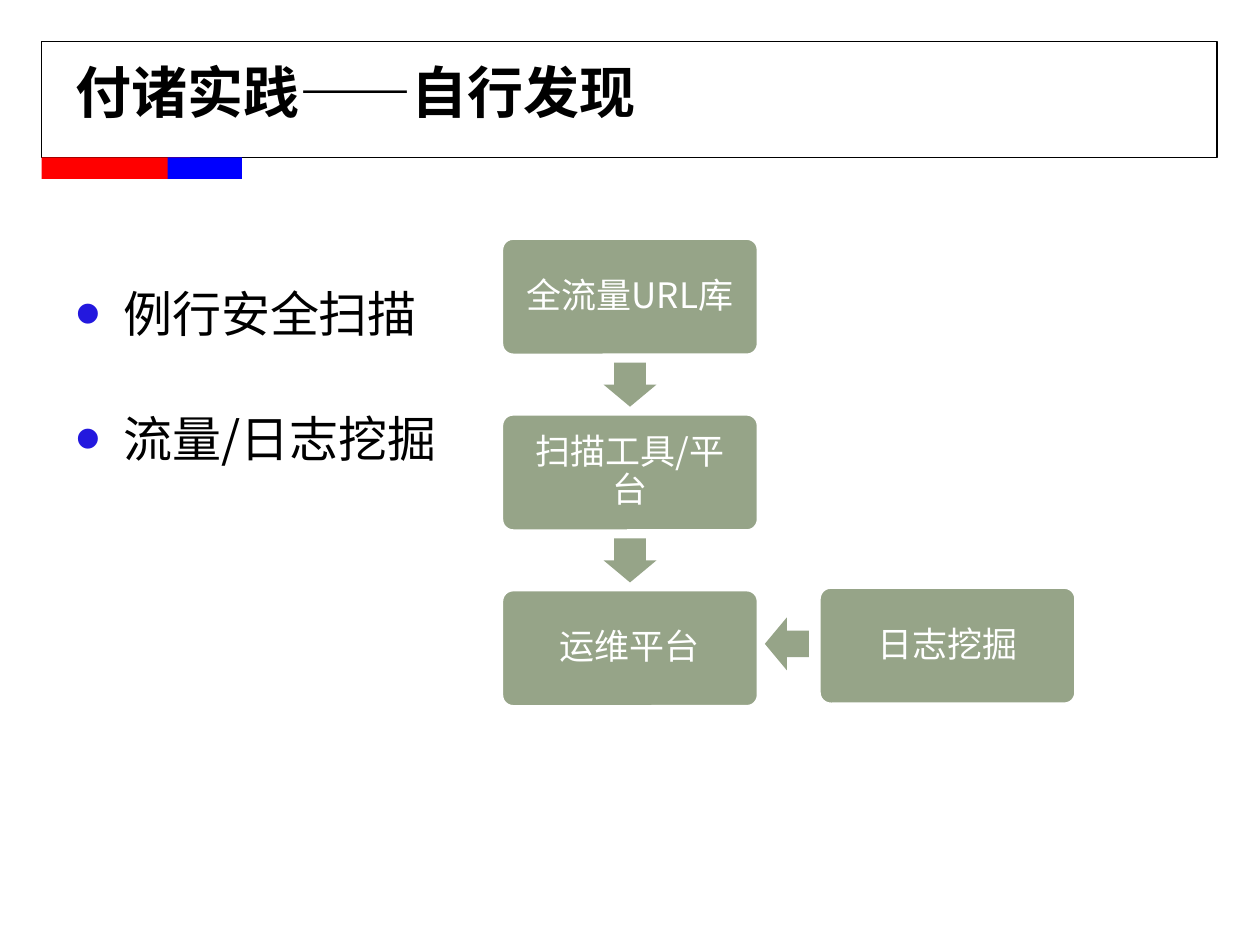
from dataclasses import dataclass
from pptx import Presentation
from pptx.dml.color import RGBColor
from pptx.enum.shapes import MSO_SHAPE as Kind
from pptx.enum.text import MSO_ANCHOR as Anchor, PP_ALIGN as Align
from pptx.oxml.ns import qn
from pptx.util import Inches, Pt
from lxml.etree import SubElement

TITLE = "付诸实践——自行发现"
POINTS = ["例行安全扫描", "流量/日志挖掘"]
STEPS = ["全流量URL库", "扫描工具/平台", "运维平台"]
SOURCE = "日志挖掘"


@dataclass
class Theme:
    font: str = "Noto Sans CJK SC"
    ink: str = "000000"
    white: str = "FFFFFF"
    red: str = "FF0000"
    blue: str = "0000FF"
    dot: str = "2318DE"
    sage: str = "96A488"
    head: int = 32
    body: int = 28
    label: int = 20


look = Theme()
deck = Presentation()
deck.slide_width, deck.slide_height = Inches(10), Inches(7.5)
slide = deck.slides.add_slide(deck.slide_layouts[5])


def write(frame, lines, size, color, bold=False, align=Align.LEFT,
          anchor=Anchor.TOP, inset=(0.1, 0.05), space=1, gap=0):
    frame.word_wrap = True
    frame.vertical_anchor = anchor
    frame.margin_left = frame.margin_right = Inches(inset[0])
    frame.margin_top = frame.margin_bottom = Inches(inset[1])
    for i, line in enumerate(lines):
        para = frame.paragraphs[0] if i == 0 else frame.add_paragraph()
        para.alignment = align
        para.line_spacing = space
        para.space_before = Pt(gap if i else 0)
        run = para.add_run()
        run.text = line
        font = run.font
        font.name, font.size, font.bold = look.font, Pt(size), bold
        font.color.rgb = RGBColor.from_string(color)
        SubElement(font._element, qn("a:ea")).set("typeface", look.font)


def bullet(para):
    props = para._p.get_or_add_pPr()
    props.set("marL", str(Inches(0.38)))
    props.set("indent", str(-Inches(0.38)))
    tint = SubElement(props, qn("a:buClr"))
    SubElement(tint, qn("a:srgbClr")).set("val", look.dot)
    SubElement(props, qn("a:buSzPct")).set("val", "150000")
    SubElement(props, qn("a:buFont")).set("typeface", "Arial")
    SubElement(props, qn("a:buChar")).set("char", "•")


def draw(kind, box, fill=None, line=None, width=0.75):
    shape = slide.shapes.add_shape(kind, *map(Inches, box))
    shape.shadow.inherit = False
    if fill:
        shape.fill.solid()
        shape.fill.fore_color.rgb = RGBColor.from_string(fill)
    else:
        shape.fill.background()
    if line:
        shape.line.color.rgb = RGBColor.from_string(line)
        shape.line.width = Pt(width)
    else:
        shape.line.fill.background()
    return shape


def card(text, left, top):
    shape = draw(Kind.ROUNDED_RECTANGLE, (left, top, WIDE, HIGH),
                 look.sage, look.white, 2)
    shape.adjustments[0] = 0.1
    write(shape.text_frame, [text], look.label, look.white, align=Align.CENTER,
          anchor=Anchor.MIDDLE, inset=(0.11, 0.11), space=0.9)


draw(Kind.RECTANGLE, (0.33, 0.33, 9.33, 0.92), line=look.ink)
draw(Kind.RECTANGLE, (0.33, 1.25, 1.18, 0.17), look.red)
draw(Kind.RECTANGLE, (1.33, 1.25, 0.59, 0.17), look.blue)

title = slide.shapes.title
title.left, title.top, title.width, title.height = map(Inches, (0.5, 0.42, 9, 0.61))
write(title.text_frame, [TITLE], look.head, look.ink, bold=True, anchor=Anchor.MIDDLE)

area = slide.shapes.add_textbox(*map(Inches, (0.5, 2.2, 3.48, 2)))
write(area.text_frame, POINTS, look.body, look.ink, gap=38)
for para in area.text_frame.paragraphs:
    bullet(para)

WIDE, HIGH = 2.04, 0.93
LEFT, TOP, PITCH = 3.98, 1.89, 1.395
SPAN, DEPTH = 0.42, 0.35
for i, step in enumerate(STEPS):
    top = TOP + i * PITCH
    card(step, LEFT, top)
    if i < len(STEPS) - 1:
        mid = top + (HIGH + PITCH) / 2
        arrow = draw(Kind.DOWN_ARROW, (LEFT + (WIDE - SPAN) / 2, mid - DEPTH / 2,
                                       SPAN, DEPTH), look.sage)
        arrow.adjustments[0] = 0.6

card(SOURCE, 6.5, 4.66)
draw(Kind.LEFT_ARROW, (6.07, 4.9, DEPTH, SPAN), look.sage)

deck.save("out.pptx")
